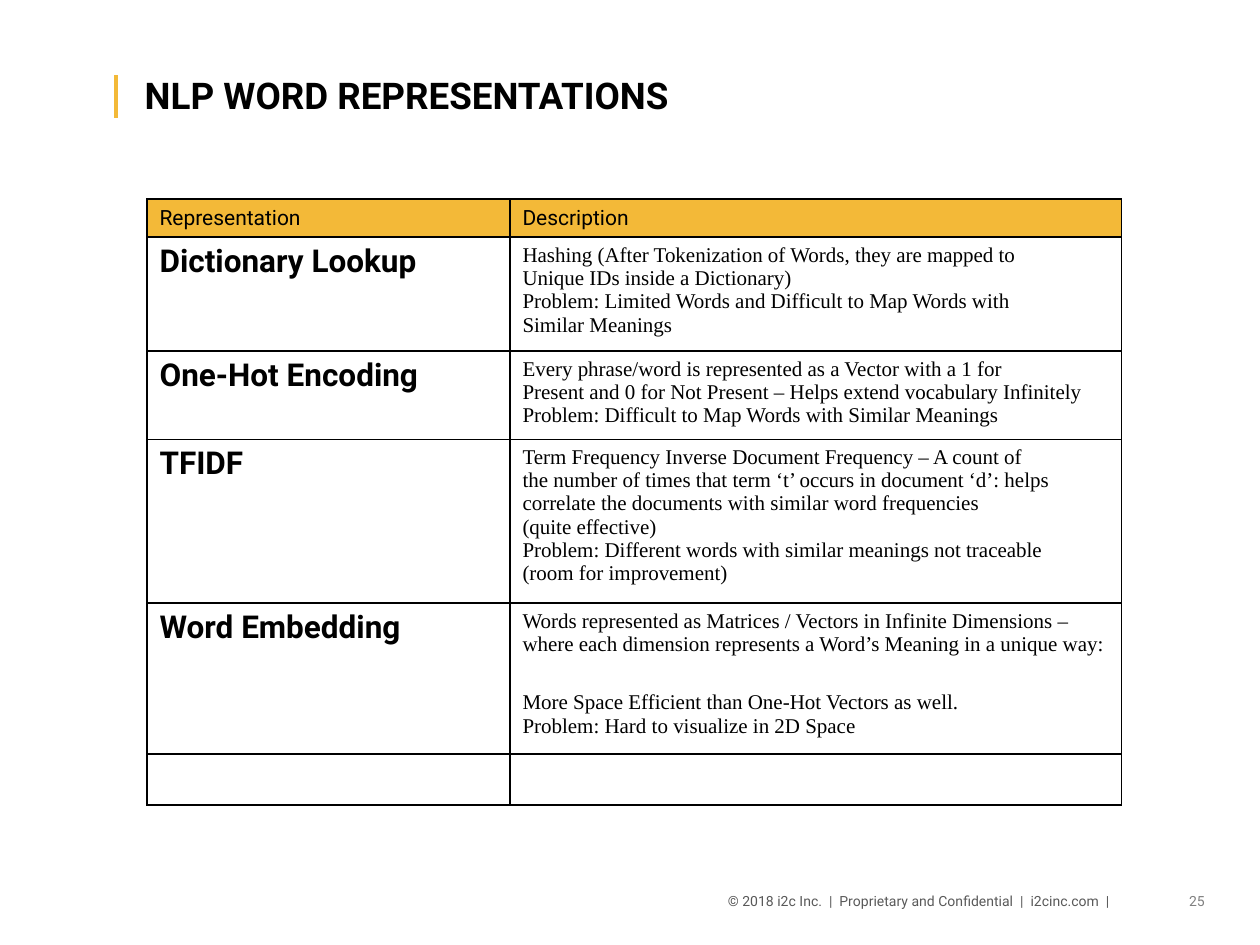
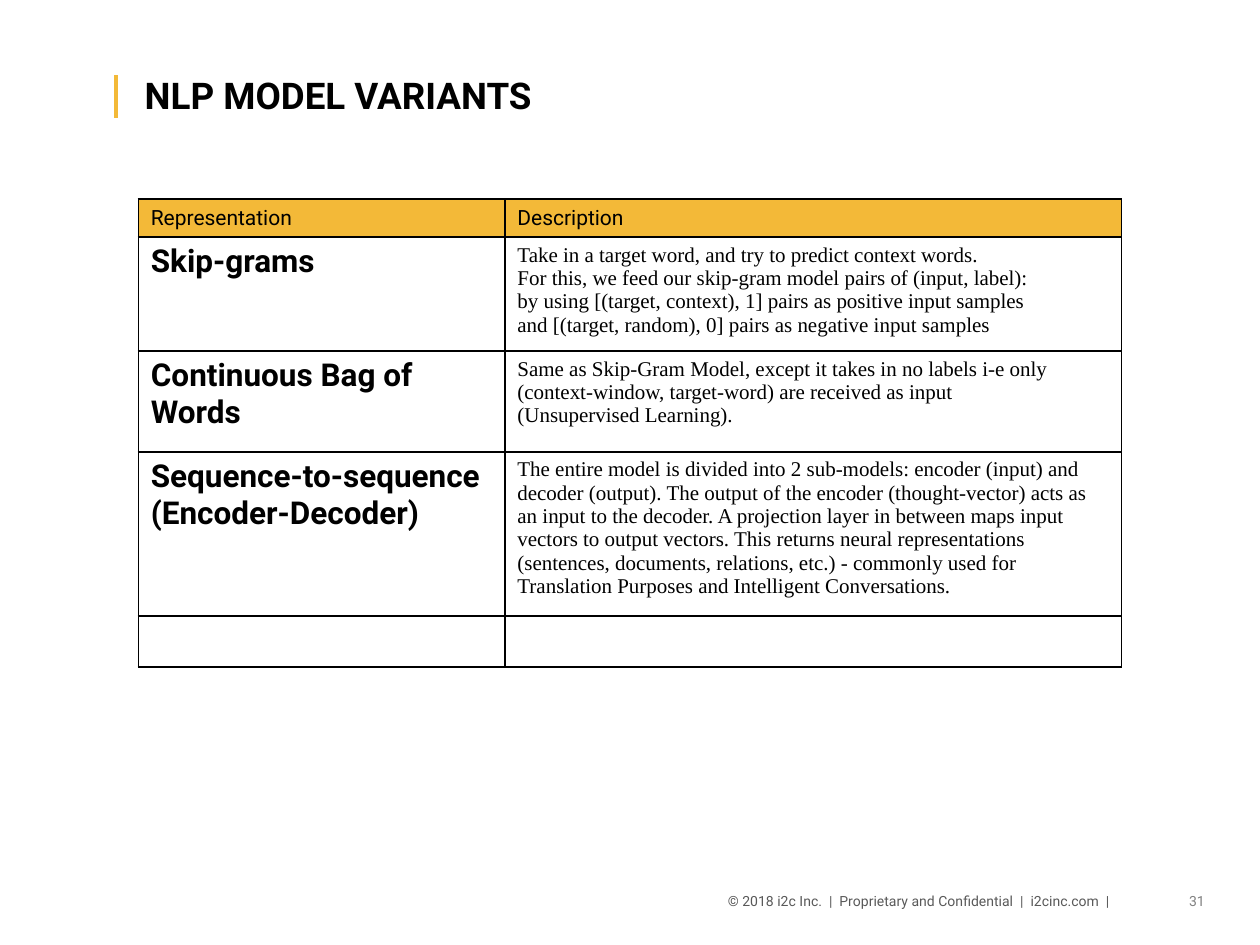
import pptx
import pptx.util
import pptx.dml.color
import pptx.enum.text
import pptx.enum.shapes
import lxml.etree
from dataclasses import dataclass

Pt = pptx.util.Pt
ALIGN = pptx.enum.text.PP_ALIGN

HEAD = ("Representation", "Description")
FOOTER = "© 2018 i2c Inc.  |  Proprietary and Confidential  |  i2cinc.com  |"

SLIDES = [
    dict(title="NLP WORD REPRESENTATIONS", page="25", left=84, split=291.4, rows=[
        ("Dictionary Lookup", 65.1, [
            "Hashing (After Tokenization of Words, they are mapped to",
            "Unique IDs inside a Dictionary)",
            "Problem: Limited Words and Difficult to Map Words with",
            "Similar Meanings"]),
        ("One-Hot Encoding", 50.3, [
            "Every phrase/word is represented as a Vector with a 1 for",
            "Present and 0 for Not Present – Helps extend vocabulary Infinitely",
            "Problem: Difficult to Map Words with Similar Meanings"]),
        ("TFIDF", 93.7, [
            "Term Frequency Inverse Document Frequency – A count of",
            "the number of times that term ‘t’ occurs in document ‘d’: helps",
            "correlate the documents with similar word frequencies",
            "(quite effective)",
            "Problem: Different words with similar meanings not traceable",
            "(room for improvement)"]),
        ("Word Embedding", 86.3, [
            "Words represented as Matrices / Vectors in Infinite Dimensions – "
            "where each dimension represents a Word’s Meaning in a unique way:",
            ("More Space Efficient than One-Hot Vectors as well.", 20),
            "Problem: Hard to visualize in 2D Space"]),
    ]),
    dict(title="NLP MODEL VARIANTS", page="31", left=79, split=288.5, rows=[
        ("Skip-grams", 65.1, [
            "Take in a target word, and try to predict context words.",
            "For this, we feed our skip-gram model pairs of (input, label):",
            "by using [(target, context), 1] pairs as positive input samples",
            "and [(target, random), 0] pairs as negative input samples"]),
        ("Continuous Bag of Words", 57.7, [
            "Same as Skip-Gram Model, except it takes in no labels i-e only "
            "(context-window, target-word) are received as input",
            "(Unsupervised Learning)."]),
        ("Sequence-to-sequence (Encoder-Decoder)", 93.7, [
            "The entire model is divided into 2 sub-models: encoder (input) and "
            "decoder (output). The output of the encoder (thought-vector) acts as "
            "an input to the decoder. A projection layer in between maps input "
            "vectors to output vectors. This returns neural representations "
            "(sentences, documents, relations, etc.) - commonly used for "
            "Translation Purposes and Intelligent Conversations."]),
    ]),
]


@dataclass(frozen=True)
class Theme:
    gold: str = "F3B938"
    ink: str = "000000"
    foot: str = "595959"
    page: str = "808080"
    sans: str = "Roboto"
    serif: str = "Times New Roman"
    title: float = 21
    term: float = 18
    body: float = 12
    small: float = 8
    rule: float = 0.96


T = Theme()
TOP, RIGHT = 113.8, 640.8
HEAD_ROW, LAST_ROW = 21.7, 29.1


def rgb(code):
    return pptx.dml.color.RGBColor.from_string(code)


def write(frame, lines, size, face=T.sans, color=T.ink, bold=False, align=ALIGN.LEFT):
    for i, line in enumerate(lines):
        para = frame.paragraphs[0] if i == 0 else frame.add_paragraph()
        text, gap = line if isinstance(line, tuple) else (line, 0)
        para.text = text
        para.alignment = align
        if gap:
            para.space_before = Pt(gap)
        font = para.font
        font.size, font.name, font.bold = Pt(size), face, bold
        font.color.rgb = rgb(color)


def label(slide, box, text, size, **style):
    frame = slide.shapes.add_textbox(*map(Pt, box)).text_frame
    frame.word_wrap = True
    write(frame, [text], size, **style)


def frame_cell(cell, fill):
    props = cell._tc.get_or_add_tcPr()
    for side in "LRTB":
        line = lxml.etree.SubElement(
            props, pptx.oxml.ns.qn(f"a:ln{side}"), w=str(int(Pt(T.rule))))
        paint = lxml.etree.SubElement(line, pptx.oxml.ns.qn("a:solidFill"))
        lxml.etree.SubElement(paint, pptx.oxml.ns.qn("a:srgbClr"), val=T.ink)
    if fill:
        cell.fill.solid()
        cell.fill.fore_color.rgb = rgb(fill)
    else:
        cell.fill.background()


def add_grid(slide, data):
    rows = data["rows"]
    highs = [HEAD_ROW, *(high for _, high, _ in rows), LAST_ROW]
    left, split = data["left"], data["split"]
    grid = slide.shapes.add_table(
        len(highs), 2, Pt(left), Pt(TOP), Pt(RIGHT - left), Pt(sum(highs))).table
    grid.first_row = grid.horz_banding = False
    grid.columns[0].width = Pt(split - left)
    grid.columns[1].width = Pt(RIGHT - split)
    for i, high in enumerate(highs):
        grid.rows[i].height = Pt(high)
        for j in range(2):
            cell = grid.cell(i, j)
            frame_cell(cell, T.gold if i == 0 else None)
            if i == 0:
                write(cell.text_frame, [HEAD[j]], T.body)
            elif i > len(rows):
                cell.text_frame.paragraphs[0].font.size = Pt(T.body)
            elif j == 0:
                write(cell.text_frame, [rows[i - 1][0]], T.term, bold=True)
            else:
                write(cell.text_frame, rows[i - 1][2], T.body, face=T.serif)


def add_frame(slide, data):
    label(slide, (527.8, 506.2, 167.8, 22.3), data["page"], T.small,
          color=T.page, align=ALIGN.RIGHT)
    label(slide, (383.8, 506.2, 257.8, 22.3), FOOTER, T.small,
          color=T.foot, align=ALIGN.RIGHT)
    label(slide, (75.6, 38, 565.2, 30.2), data["title"], T.title, bold=True)
    bar = slide.shapes.add_connector(
        pptx.enum.shapes.MSO_CONNECTOR.STRAIGHT, Pt(66.2), Pt(43), Pt(66.2), Pt(67.7))
    bar.line.color.rgb = rgb(T.gold)
    bar.line.width = Pt(2.25)
    lxml.etree.SubElement(bar._element.spPr, pptx.oxml.ns.qn("a:effectLst"))


def main():
    deck = pptx.Presentation()
    deck.slide_width, deck.slide_height = Pt(720), Pt(540)
    for data in SLIDES:
        slide = deck.slides.add_slide(deck.slide_layouts[6])
        add_frame(slide, data)
        add_grid(slide, data)
    deck.save("out.pptx")


if __name__ == "__main__":
    main()
